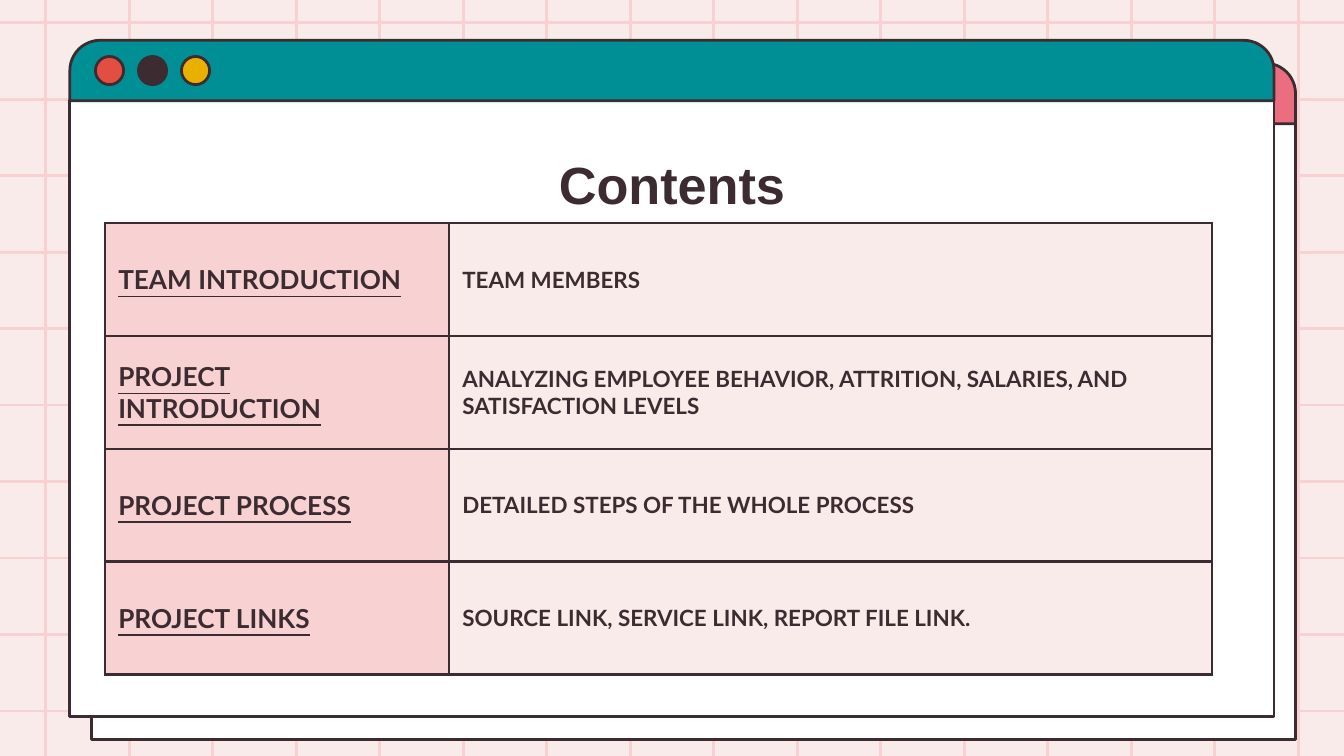
from lxml.etree import SubElement as Sub
from pptx import Presentation
from pptx.dml.color import RGBColor
from pptx.enum.shapes import MSO_CONNECTOR as Conn, MSO_SHAPE as Shape
from pptx.enum.text import MSO_ANCHOR as Anchor, PP_ALIGN as Align
from pptx.oxml import parse_xml
from pptx.oxml.ns import nsdecls, qn
from pptx.util import Inches, Pt

DARK, PINK, PALE, WHITE = "3C2C31", "F8D2D2", "FAEBEB", "FFFFFF"
DOTS = ["E24E42", DARK, "E9B000"]
ROWS = [
    ("TEAM INTRODUCTION", "TEAM MEMBERS"),
    ("PROJECT INTRODUCTION",
     "ANALYZING EMPLOYEE BEHAVIOR, ATTRITION, SALARIES, AND SATISFACTION LEVELS"),
    ("PROJECT PROCESS", "DETAILED STEPS OF THE WHOLE PROCESS"),
    ("PROJECT LINKS", "SOURCE LINK, SERVICE LINK, REPORT FILE LINK."),
]
HEAD = {"name": "Arial", "size": Pt(28), "bold": True}
TOPIC = {"name": "Lato", "size": Pt(14), "bold": True, "underline": True}
DETAIL = {"name": "Lato", "size": Pt(12), "bold": True, "underline": False}


def paint(part, tint):
    """Give a fill or a line a solid colour."""
    part.solid()
    part.fore_color.rgb = RGBColor.from_string(tint)


def style(run, look):
    for key, value in look.items():
        setattr(run.font, key, value)
    run.font.color.rgb = RGBColor.from_string(DARK)


def add_line(slide, *ends):
    line = slide.shapes.add_connector(Conn.STRAIGHT, *map(Inches, ends))
    paint(line.line.fill, PINK)
    line.line.width = Pt(1.5)
    Sub(line._element.spPr, qn("a:effectLst"))


def add_grid(slide):
    for i in range(16):
        x = 0.34 + i * 9.32 / 15
        add_line(slide, x, 5.82, x, -0.36)
    for i in range(10):
        y = 0.17 + i * 5.12 / 9
        add_line(slide, -0.22, y, 10.22, y)


def add_box(slide, kind, box, tint):
    shape = slide.shapes.add_shape(kind, *map(Inches, box))
    shape.shadow.inherit = False
    paint(shape.fill, tint)
    paint(shape.line.fill, DARK)
    shape.line.width = Pt(1.5)
    return shape


def add_window(slide, left, top, tint):
    add_box(slide, Shape.RECTANGLE, (left, top + 0.45, 8.96, 4.58), WHITE)
    bar = add_box(slide, Shape.ROUND_2_SAME_RECTANGLE, (left, top, 8.96, 0.45), tint)
    bar.adjustments[0] = 0.5
    for i, dot in enumerate(DOTS):
        box = (left + 0.19 + i * 0.32, top + 0.12, 0.21, 0.21)
        add_box(slide, Shape.OVAL, box, dot)


def add_title(slide, text):
    box = slide.shapes.add_textbox(*map(Inches, (0.98, 1.03, 8.04, 0.63)))
    frame = box.text_frame
    frame.word_wrap = True
    for side in ("left", "top", "right", "bottom"):
        setattr(frame, "margin_" + side, Inches(0.1))
    para = frame.paragraphs[0]
    para.alignment = Align.CENTER
    run = para.add_run()
    run.text = text
    style(run, HEAD)


def add_edges(cell):
    """Draw the four borders; they must come before the fill."""
    props = cell._tc.get_or_add_tcPr()
    for i, side in enumerate("LRTB"):
        props.insert(i, parse_xml(
            f'<a:ln{side} {nsdecls("a")} w="{Pt(1.5)}"><a:solidFill>'
            f'<a:srgbClr val="{DARK}"/></a:solidFill></a:ln{side}>'))


def fill_cell(cell, text, look, tint):
    form = {"vertical_anchor": Anchor.MIDDLE, "margin_left": Inches(0.1),
            "margin_right": Inches(0.1), "margin_top": 0, "margin_bottom": 0}
    for key, value in form.items():
        setattr(cell, key, value)
    paint(cell.fill, tint)
    add_edges(cell)
    run = cell.text_frame.paragraphs[0].add_run()
    run.text = text
    style(run, look)


def add_contents(slide):
    box = map(Inches, (0.78, 1.66, 8.24, 3.36))
    table = slide.shapes.add_table(len(ROWS), 2, *box).table
    table.first_row = table.horz_banding = False
    for col, width in zip(table.columns, (2.56, 5.68)):
        col.width = Inches(width)
    for r, (topic, detail) in enumerate(ROWS):
        fill_cell(table.cell(r, 0), topic, TOPIC, PINK)
        fill_cell(table.cell(r, 1), detail, DETAIL, PALE)
        table.cell(r, 1).text_frame.paragraphs[0].space_after = Pt(16)


def main():
    deck = Presentation()
    # Widescreen, 16 to 9
    deck.slide_width = Inches(10)
    deck.slide_height = deck.slide_width * 9 // 16
    slide = deck.slides.add_slide(deck.slide_layouts[6])
    # Backdrop
    paint(slide.background.fill, PALE)
    add_grid(slide)
    # Back and front windows
    add_window(slide, 0.68, 0.47, "EB6E80")
    add_window(slide, 0.52, 0.3, "008F95")
    # Content
    add_title(slide, "Contents")
    add_contents(slide)
    deck.save("out.pptx")


if __name__ == "__main__":
    main()
